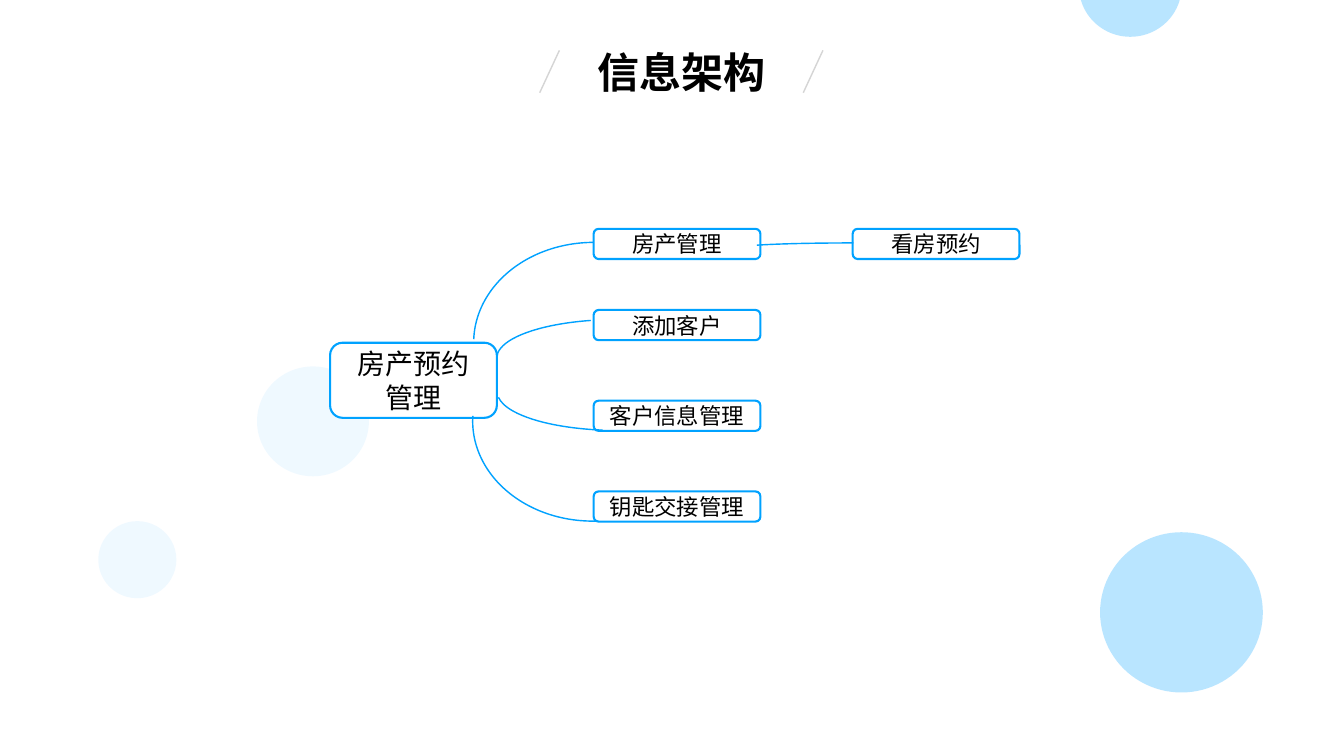
from dataclasses import dataclass

from lxml import etree
from pptx import Presentation
from pptx.dml.color import RGBColor
from pptx.enum.shapes import MSO_CONNECTOR, MSO_SHAPE
from pptx.enum.text import MSO_ANCHOR, MSO_AUTO_SIZE, PP_ALIGN
from pptx.oxml.ns import qn
from pptx.util import Inches, Pt

LINE = MSO_CONNECTOR.STRAIGHT
OVAL, ROUND, ARC = MSO_SHAPE.OVAL, MSO_SHAPE.ROUNDED_RECTANGLE, MSO_SHAPE.ARC
MIDDLE, CENTER = MSO_ANCHOR.MIDDLE, PP_ALIGN.CENTER
FIT = MSO_AUTO_SIZE.SHAPE_TO_FIT_TEXT


@dataclass(frozen=True)
class Theme:
    font: str = "Arial"
    ink: str = "000000"
    paper: str = "FFFFFF"
    edge: str = "00A2FF"
    bubble: str = "56C1FF"
    slash: str = "D5D5D5"
    title: int = 60
    root: int = 40
    node: int = 32
    border: int = 3
    thin: int = 2


@dataclass(frozen=True)
class Box:
    left: float
    top: float
    width: float
    height: float

    def place(self) -> list:
        return [Inches(v) for v in (self.left, self.top, self.width, self.height)]


@dataclass(frozen=True)
class Bubble:
    box: Box
    alpha: int


@dataclass(frozen=True)
class Node:
    box: Box
    lines: tuple[str, ...]
    size: int


@dataclass(frozen=True)
class Branch:
    box: Box
    start: float
    end: float


THEME = Theme()
COL, NEXT, WIDE, HIGH = 11.78, 16.92, 3.31, 0.6


def leaf(left: float, top: float, label: str) -> Node:
    return Node(Box(left, top, WIDE, HIGH), (label,), THEME.node)


BUBBLES = (
    Bubble(Box(21.83, 10.56, 3.23, 3.18), 41),
    Bubble(Box(5.1, 7.27, 2.22, 2.18), 9),
    Bubble(Box(1.95, 10.34, 1.55, 1.53), 9),
    Bubble(Box(21.41, -1.28, 2.04, 2.01), 41),
)
NODES = (
    Node(Box(6.55, 6.8, WIDE, 1.49), ("房产预约", "管理"), THEME.root),
    leaf(COL, 4.54, "房产管理"),
    leaf(COL, 6.15, "添加客户"),
    leaf(COL, 7.95, "客户信息管理"),
    leaf(COL, 9.75, "钥匙交接管理"),
    leaf(NEXT, 4.54, "看房预约"),
)
BRANCHES = (
    Branch(Box(9.4, 4.81, 4.76, 3.97), 181.53, 269.88),
    Branch(Box(14.67, 4.82, 4.51, 0.19), 181.53, 275.64),
    Branch(Box(9.87, 7.02, 4.76, 1.52), 111.02, 177.47),
    Branch(Box(9.38, 6.37, 4.76, 3.97), 87.95, 182.46),
    Branch(Box(9.86, 6.34, 4.76, 1.52), 179.56, 235.17),
)


def color(code: str) -> RGBColor:
    return RGBColor.from_string(code)


def stroke(item, code: str, width: float) -> None:
    item.line.color.rgb = color(code)
    item.line.width = Pt(width)


def write(shape, lines: tuple[str, ...], *, size: int, bold: bool = False,
          inset: float = 0, wrap: bool = True) -> None:
    frame = shape.text_frame
    frame.word_wrap = wrap
    frame.auto_size = FIT
    frame.vertical_anchor = MIDDLE
    frame.margin_left = frame.margin_right = Inches(inset)
    frame.margin_top = frame.margin_bottom = Inches(inset)
    for i, line in enumerate(lines):
        para = frame.add_paragraph() if i else frame.paragraphs[0]
        para.alignment = CENTER
        run = para.add_run()
        run.text = line
        run.font.name = THEME.font
        run.font.size = Pt(size)
        run.font.bold = bold
        run.font.color.rgb = color(THEME.ink)


def add_slash(slide, left: float) -> None:
    ends = (left, 1.84, left + 0.39, 1)
    line = slide.shapes.add_connector(LINE, *[Inches(v) for v in ends])
    stroke(line, THEME.slash, THEME.thin)
    etree.SubElement(line._element.spPr, qn("a:effectLst"))


def add_bubble(slide, bubble: Bubble) -> None:
    shape = slide.shapes.add_shape(OVAL, *bubble.box.place())
    shape.shadow.inherit = False
    shape.fill.solid()
    shape.fill.fore_color.rgb = color(THEME.bubble)
    shape.line.fill.background()
    tint = shape._element.spPr.find(qn("a:solidFill"))[0]
    etree.SubElement(tint, qn("a:alpha"), val=str(bubble.alpha * 1000))


def add_node(slide, node: Node) -> None:
    shape = slide.shapes.add_shape(ROUND, *node.box.place())
    shape.shadow.inherit = False
    shape.fill.solid()
    shape.fill.fore_color.rgb = color(THEME.paper)
    stroke(shape, THEME.edge, THEME.border)
    write(shape, node.lines, size=node.size)


def add_branch(slide, branch: Branch) -> None:
    shape = slide.shapes.add_shape(ARC, *branch.box.place())
    shape.shadow.inherit = False
    shape.fill.background()
    stroke(shape, THEME.edge, THEME.thin)
    for i, angle in enumerate((branch.start, branch.end)):
        shape.adjustments[i] = angle * 0.6


def main() -> None:
    deck = Presentation()
    deck.slide_width, deck.slide_height = Inches(26.67), Inches(15)
    slide = deck.slides.add_slide(deck.slide_layouts[6])
    for left in (10.71, 15.94):
        add_slash(slide, left)
    title = slide.shapes.add_textbox(*Box(11.79, 0.78, 3.46, 1.28).place())
    write(title, ("信息架构",), size=THEME.title, bold=True, inset=0.06, wrap=False)
    for bubble in BUBBLES:
        add_bubble(slide, bubble)
    for node in NODES:
        add_node(slide, node)
    for branch in BRANCHES:
        add_branch(slide, branch)
    deck.save("out.pptx")


main()
